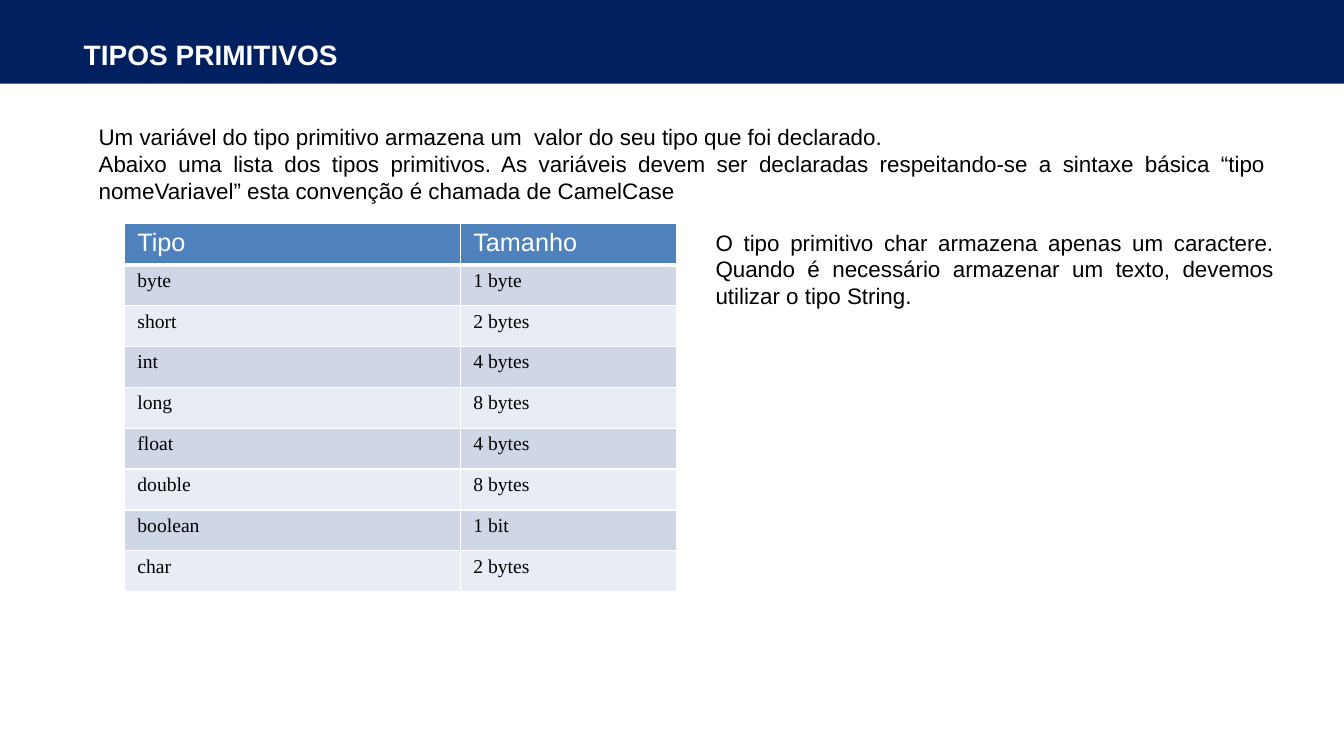
from dataclasses import dataclass

from lxml import etree
from pptx import Presentation
from pptx import util as u
from pptx.dml import color
from pptx.enum import shapes, text
from pptx.oxml import ns


@dataclass(frozen=True)
class Theme:
    navy: str = "002060"
    header: str = "4F81BD"
    bands: tuple = ("CFD7E7", "E8ECF4")
    white: str = "FFFFFF"
    black: str = "000000"
    sans: str = "Arial"
    serif: str = "Times New Roman"
    title_size: int = 20
    header_size: int = 18
    body_size: int = 16
    cell_size: int = 14
    thin: int = 1
    thick: int = 3


class SlideBuilder:
    """Places elements on one slide; lengths are percent of its width and height."""

    def __init__(self, deck, theme):
        self.deck, self.theme = deck, theme
        self.slide = deck.slides.add_slide(deck.slide_layouts[5])

    def x(self, share):
        return round(self.deck.slide_width * share / 100)

    def y(self, share):
        return round(self.deck.slide_height * share / 100)

    def box(self, left, top, width, height):
        return self.x(left), self.y(top), self.x(width), self.y(height)

    def style(self, frame, size, ink, font, bold=False, align=text.PP_ALIGN.LEFT):
        for paragraph in frame.paragraphs:
            paragraph.alignment = align
            for run in paragraph.runs:
                run.font.size = u.Pt(size)
                run.font.name = font
                run.font.bold = bold
                run.font.color.rgb = color.RGBColor.from_string(ink)

    def band(self, *area):
        band = self.slide.shapes.add_shape(shapes.MSO_SHAPE.RECTANGLE, *self.box(*area))
        band.shadow.inherit = False
        band.fill.solid()
        band.fill.fore_color.rgb = color.RGBColor.from_string(self.theme.navy)
        band.line.fill.background()
        self.slide.shapes._spTree.insert(2, band._element)  # behind the title

    def title(self, wording, *area):
        title = self.slide.shapes.title
        title.left, title.top, title.width, title.height = self.box(*area)
        frame = title.text_frame
        frame.text = wording
        frame.vertical_anchor = text.MSO_ANCHOR.MIDDLE
        frame.auto_size = text.MSO_AUTO_SIZE.NONE
        self.style(frame, self.theme.title_size, self.theme.white, self.theme.sans, True)

    def body(self, wording, *area):
        frame = self.slide.shapes.add_textbox(*self.box(*area)).text_frame
        frame.word_wrap = True
        frame.auto_size = text.MSO_AUTO_SIZE.SHAPE_TO_FIT_TEXT
        frame.text = wording
        self.style(frame, self.theme.body_size, self.theme.black, self.theme.sans,
                   align=text.PP_ALIGN.JUSTIFY)

    def borders(self, cell, top, bottom):
        thin = self.theme.thin
        properties = cell._tc.get_or_add_tcPr()
        for side, width in (("L", thin), ("R", thin), ("T", top), ("B", bottom)):
            line = etree.SubElement(properties, ns.qn(f"a:ln{side}"), w=str(u.Pt(width)))
            fill = etree.SubElement(line, ns.qn("a:solidFill"))
            etree.SubElement(fill, ns.qn("a:srgbClr"), val=self.theme.white)

    def table(self, rows, left, top, widths, row_height):
        theme = self.theme
        area = self.box(left, top, sum(widths), row_height * len(rows))
        table = self.slide.shapes.add_table(len(rows), len(widths), *area).table
        for column, width in zip(table.columns, widths):
            column.width = self.x(width)
        for r, values in enumerate(rows):
            table.rows[r].height = self.y(row_height)
            for c, value in enumerate(values):
                cell = table.cell(r, c)
                cell.margin_left = cell.margin_right = u.Inches(0.13)
                self.borders(cell, theme.thick if r == 1 else theme.thin,
                             theme.thick if r == 0 else theme.thin)
                cell.fill.solid()
                shade = theme.bands[(r - 1) % 2] if r else theme.header
                cell.fill.fore_color.rgb = color.RGBColor.from_string(shade)
                cell.text_frame.text = value
                if r == 0:
                    self.style(cell.text_frame, theme.header_size, theme.white, theme.sans)
                else:
                    self.style(cell.text_frame, theme.cell_size, theme.black, theme.serif)


PRIMITIVES = [
    ("Tipo", "Tamanho"),
    ("byte", "1 byte"),
    ("short", "2 bytes"),
    ("int", "4 bytes"),
    ("long", "8 bytes"),
    ("float", "4 bytes"),
    ("double", "8 bytes"),
    ("boolean", "1 bit"),
    ("char", "2 bytes"),
]


def main():
    deck = Presentation()
    deck.slide_width, deck.slide_height = u.Inches(13.33), u.Inches(7.5)
    page = SlideBuilder(deck, Theme())

    # Heading
    page.band(0, 0, 100, 11.07)
    page.title("TIPOS PRIMITIVOS", 5.48, 1.87, 90, 10.53)

    # Table of primitive types and the note beside it
    content_top = 29.6
    page.table(PRIMITIVES, 9.25, content_top, (25, 16.1), 5.41)
    page.body("O tipo primitivo char armazena apenas um caractere. Quando é necessário "
              "armazenar um texto, devemos utilizar o tipo String.",
              52.5, content_top, 43, 12.13)

    # Introduction
    page.body("Um variável do tipo primitivo armazena um  valor do seu tipo que foi declarado.\n"
              "Abaixo uma lista dos tipos primitivos. As variáveis devem ser declaradas "
              "respeitando-se a sintaxe básica “tipo nomeVariavel” esta convenção é "
              "chamada de CamelCase",
              6.6, 15.6, 88.3, 12.13)

    deck.save("out.pptx")


if __name__ == "__main__":
    main()
